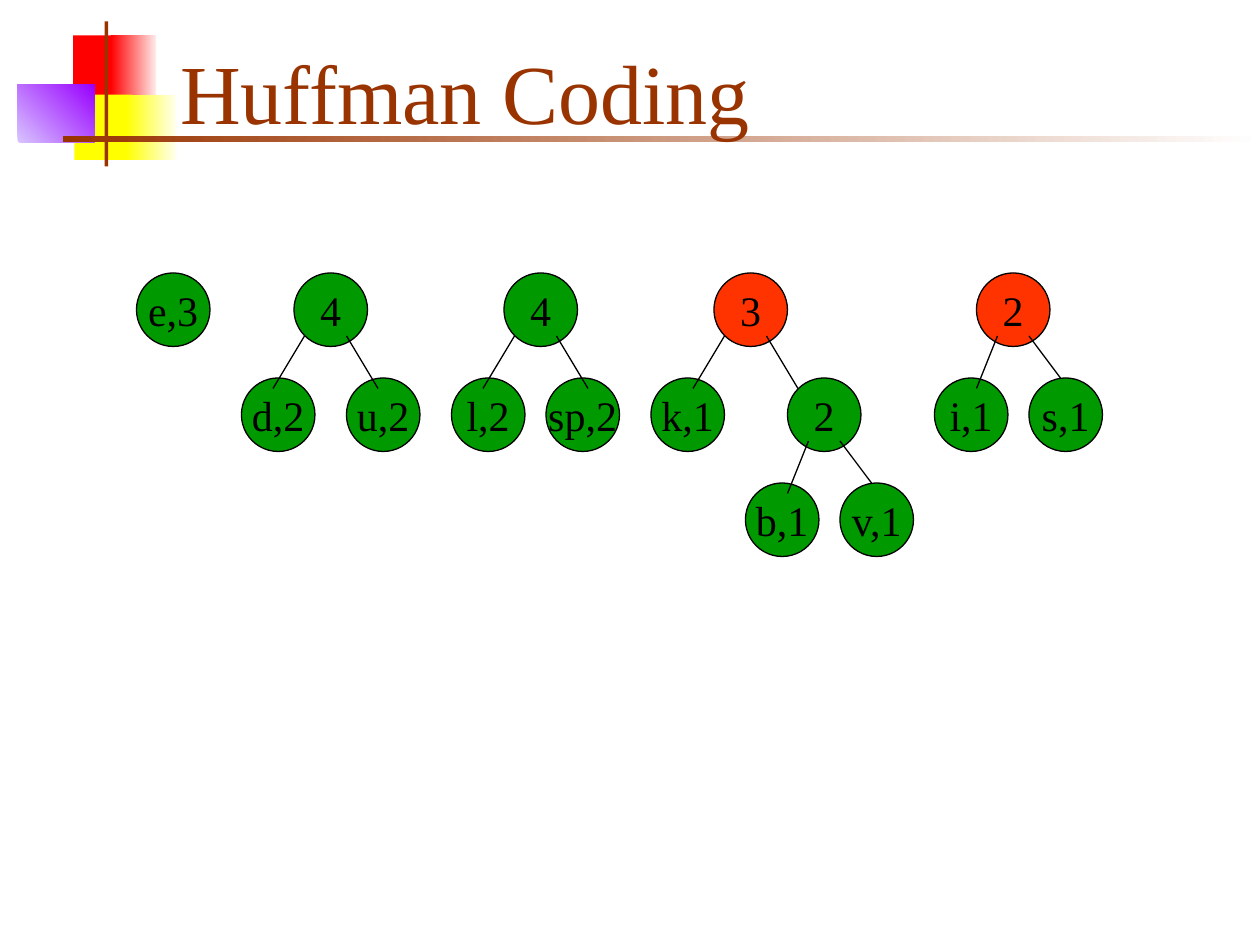
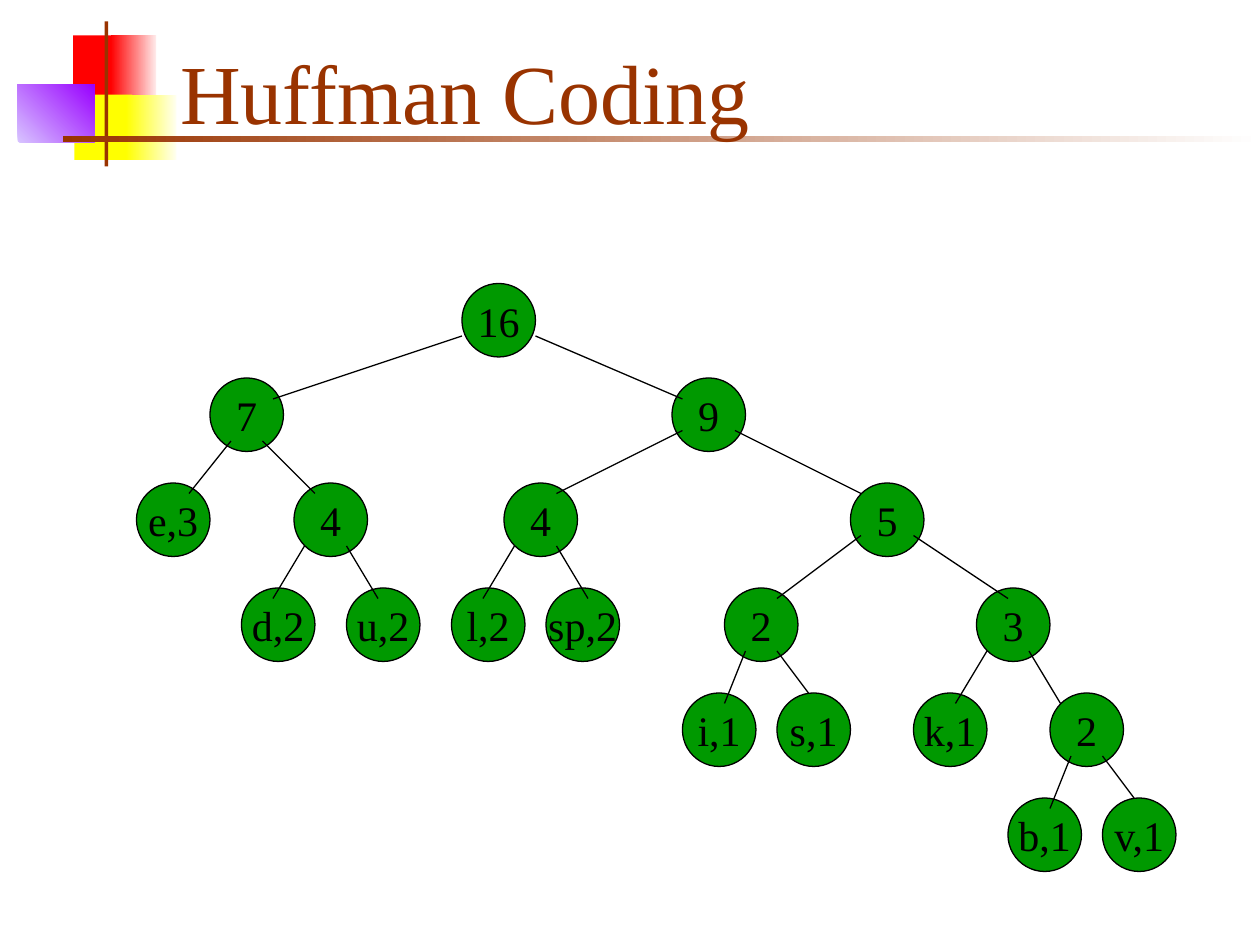
from dataclasses import dataclass

from lxml import etree
from pptx import Presentation
from pptx import util as u
from pptx.dml.color import RGBColor
from pptx.enum import shapes, text
from pptx.oxml.ns import qn


@dataclass(frozen=True)
class Theme:
    font: str = "Times New Roman"
    title: int = 48
    label: int = 24
    edge: float = 0.75
    brown: str = "993300"
    green: str = "009900"
    hot: str = "FF3300"
    black: str = "000000"
    white: str = "FFFFFF"
    red: str = "FF0000"
    pink: str = "FFEAEA"
    yellow: str = "FFFF00"
    cream: str = "FFFFF0"
    lilac: str = "D8C4FF"
    purple: str = "9900FF"


@dataclass(frozen=True)
class Node:
    label: str
    arms: tuple = ()


@dataclass(frozen=True)
class Arm:
    """Link to a child: its offset and both line ends, in cells from the parent's corner."""
    child: Node
    shift: tuple
    start: tuple
    end: tuple


THEME = Theme()
SIZE = 7  # circle width in cells

# left, top, width, height, fill (a colour, or first colour, last colour, angle)
BANDS = [
    (0.58, 0.28, 0.35, 0.52, THEME.red),
    (0.88, 0.28, 0.36, 0.52, (THEME.red, THEME.pink, 0)),
    (0.59, 0.75, 0.46, 0.52, THEME.yellow),
    (1, 0.75, 0.4, 0.52, (THEME.yellow, THEME.cream, 0)),
    (0.14, 0.67, 0.61, 0.46, (THEME.lilac, THEME.purple, 45)),
    (0.83, 0.17, 0.03, 1.15, THEME.brown),
    (0.5, 1.08, 9.5, 0.05, (THEME.brown, THEME.white, 0)),
]


def cell(count):
    """Length of a number of grid cells, twelve to the inch."""
    return u.Inches(count / 12)


def put(item, **values):
    for name, value in values.items():
        setattr(item, name, value)


def wide(label, left, right):
    """Node with two children, its lines leaving near the edges."""
    return Node(label, (
        Arm(left[0], (left[1], 10), (1, 6), (-2, 11)),
        Arm(right[0], (right[1], 10), (5, 6), (8, 11)),
    ))


def tight(label, left, right):
    """Node with two close leaves."""
    return Node(label, (
        Arm(Node(left), (-4, 10), (2, 6), (0, 11)),
        Arm(Node(right), (5, 10), (5, 6), (8, 10)),
    ))


class Deck:
    def __init__(self, theme):
        self.theme = theme
        self.prs = Presentation()
        put(self.prs, slide_width=u.Inches(10), slide_height=u.Inches(7.5))
        self.slide = None

    def page(self, title):
        first = self.slide is None
        self.slide = self.prs.slides.add_slide(self.prs.slide_layouts[5])
        if first:
            self.bands()
        box = self.slide.shapes.title
        put(box, left=u.Inches(1.33), top=u.Inches(0.25),
            width=u.Inches(8.52), height=u.Inches(0.92))
        put(box.text_frame, auto_size=text.MSO_AUTO_SIZE.NONE,
            vertical_anchor=text.MSO_ANCHOR.BOTTOM)
        self.words(box, title, self.theme.title, self.theme.brown, text.PP_ALIGN.LEFT)

    def bands(self):
        """Draw the shared bands and move them onto the slide master."""
        tree = self.prs.slide_master.shapes.element
        for spot, (*box, fill) in enumerate(BANDS, 2):
            band = self.shape(shapes.MSO_SHAPE.RECTANGLE, map(u.Inches, box), fill)
            band.line.fill.background()
            tree.insert(spot, band.element)

    def words(self, shape, value, size, color, align):
        para = shape.text_frame.paragraphs[0]
        para.alignment = align
        run = para.add_run()
        run.text = value
        put(run.font, name=self.theme.font, size=u.Pt(size))
        run.font.color.rgb = RGBColor.from_string(color)

    def shape(self, kind, box, fill):
        item = self.slide.shapes.add_shape(kind, *box)
        item.shadow.inherit = False
        if isinstance(fill, str):
            item.fill.solid()
            item.fill.fore_color.rgb = RGBColor.from_string(fill)
        else:
            *colors, angle = fill
            item.fill.gradient()
            item.fill.gradient_angle = angle
            for stop, color in zip(item.fill.gradient_stops, colors):
                stop.color.rgb = RGBColor.from_string(color)
        return item

    def stroke(self, item):
        item.line.width = u.Pt(self.theme.edge)
        item.line.fill.solid()
        item.line.fill.fore_color.rgb = RGBColor.from_string(self.theme.black)

    def disc(self, label, x, y, fill):
        item = self.shape(shapes.MSO_SHAPE.OVAL, map(cell, (x, y, SIZE, SIZE)), fill)
        self.stroke(item)
        put(item.text_frame, word_wrap=False, vertical_anchor=text.MSO_ANCHOR.MIDDLE)
        self.words(item, label, self.theme.label, self.theme.black, text.PP_ALIGN.CENTER)

    def line(self, *ends):
        item = self.slide.shapes.add_connector(
            shapes.MSO_CONNECTOR.STRAIGHT, *map(cell, ends))
        self.stroke(item)
        etree.SubElement(item.element.spPr, qn("a:effectLst"))

    def tree(self, node, x, y, fill=None):
        """Draw the subtrees, then the node, then the lines on top."""
        for arm in node.arms:
            self.tree(arm.child, x + arm.shift[0], y + arm.shift[1])
        self.disc(node.label, x, y, fill or self.theme.green)
        for arm in node.arms:
            self.line(x + arm.start[0], y + arm.start[1], x + arm.end[0], y + arm.end[1])


def main():
    leaf_e = Node("e,3")
    four_du = wide("4", (Node("d,2"), -5), (Node("u,2"), 5))
    four_lsp = wide("4", (Node("l,2"), -5), (Node("sp,2"), 4))
    two_is = tight("2", "i,1", "s,1")
    three = wide("3", (Node("k,1"), -6), (tight("2", "b,1", "v,1"), 7))
    five = Node("5", (
        Arm(two_is, (-12, 10), (1, 5), (-7, 11)),
        Arm(three, (12, 10), (6, 5), (15, 11)),
    ))
    seven = Node("7", (
        Arm(leaf_e, (-7, 10), (2, 6), (-2, 11)),
        Arm(four_du, (8, 10), (5, 6), (10, 11)),
    ))
    nine = Node("9", (
        Arm(four_lsp, (-16, 10), (1, 5), (-11, 11)),
        Arm(five, (17, 10), (6, 5), (18, 11)),
    ))
    root = Node("16", (
        Arm(seven, (-24, 9), (0, 5), (-18, 11)),
        Arm(nine, (20, 9), (7, 5), (21, 11)),
    ))

    deck = Deck(THEME)
    title = "Huffman Coding"

    deck.page(title)
    for node, x, fill in [
        (leaf_e, 13, THEME.green),
        (four_du, 28, THEME.green),
        (four_lsp, 48, THEME.green),
        (three, 68, THEME.hot),
        (two_is, 93, THEME.hot),
    ]:
        deck.tree(node, x, 26, fill)

    deck.page(title)
    deck.tree(root, 44, 27)

    deck.prs.save("out.pptx")


if __name__ == "__main__":
    main()
